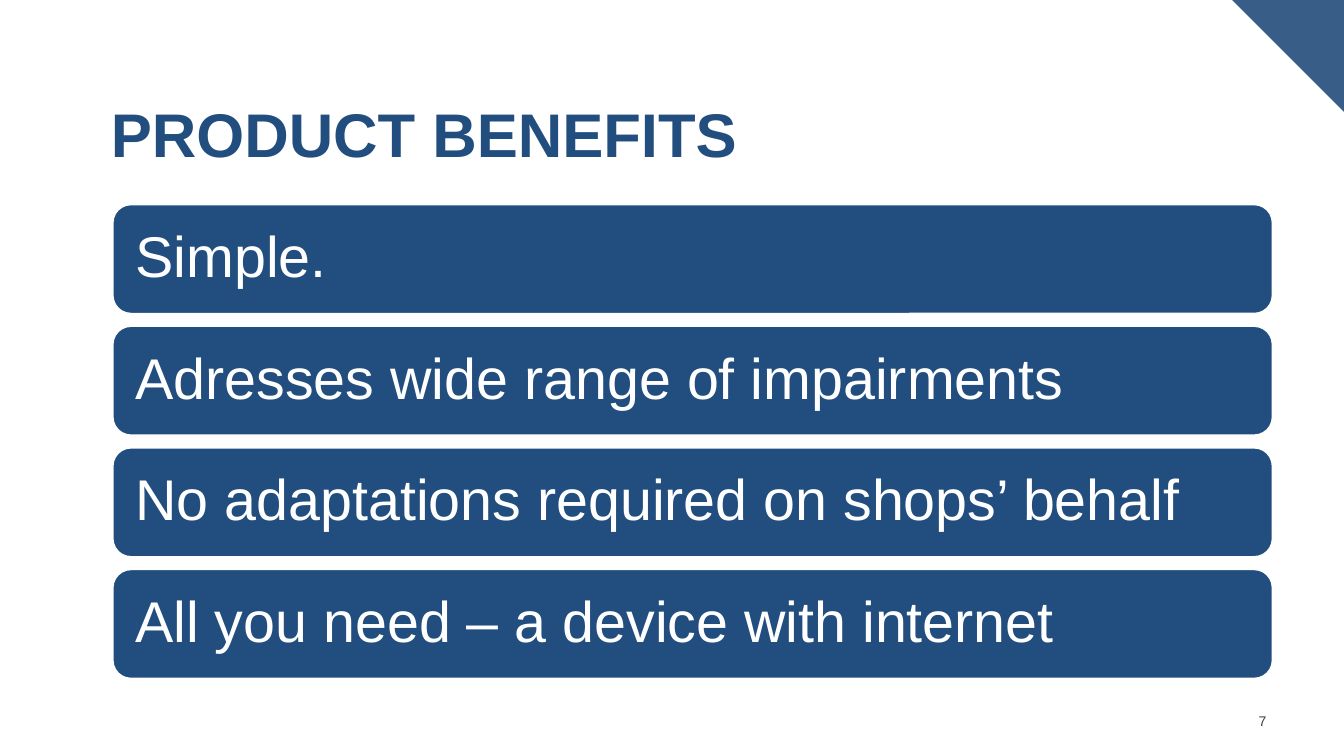
from pptx import Presentation
from pptx.dml.color import RGBColor
from pptx.enum import shapes as sh, text as tx
from pptx.util import Inches, Pt

COLORS = {"navy": "224E7F", "corner": "385E88", "white": "FFFFFF", "gray": "404040"}
BENEFITS = [
    "Simple.",
    "Adresses wide range of impairments",
    "No adaptations required on shops’ behalf",
    "All you need – a device with internet",
]
WIDTH, HEIGHT = 13.33, 7.5


def color(name):
    return RGBColor.from_string(COLORS[name])


def place(shape, left, top, width, height):
    shape.left, shape.top = Inches(left), Inches(top)
    shape.width, shape.height = Inches(width), Inches(height)


def write(shape, words, size, tint, align, anchor, bold=False, line=None):
    frame = shape.text_frame
    frame.text = words
    frame.word_wrap = True
    frame.auto_size = tx.MSO_AUTO_SIZE.NONE
    frame.vertical_anchor = anchor
    para = frame.paragraphs[0]
    para.alignment = align
    para.line_spacing = line
    font = para.runs[0].font
    font.name, font.size, font.bold = "Arial", Pt(size), bold
    font.color.rgb = color(tint)


def add_corner(slide, side):
    left = WIDTH - side
    form = slide.shapes.build_freeform(Inches(left), 0)
    form.add_line_segments([(Inches(WIDTH), 0), (Inches(WIDTH), Inches(side))])
    corner = form.convert_to_shape()
    corner.shadow.inherit = False
    corner.fill.solid()
    corner.fill.fore_color.rgb = color("corner")
    corner.line.fill.background()


def add_title(slide, words):
    title = slide.shapes.title
    place(title, 1, 0.98, 11.5, 1.45)
    write(title, words, 44, "navy", tx.PP_ALIGN.LEFT, tx.MSO_ANCHOR.TOP,
          bold=True, line=0.9)


def add_bar(slide, words, top):
    bar = slide.shapes.add_shape(
        sh.MSO_SHAPE.ROUNDED_RECTANGLE,
        Inches(1.12), Inches(top), Inches(11.5), Inches(1.08))
    bar.shadow.inherit = False
    bar.fill.solid()
    bar.fill.fore_color.rgb = color("navy")
    bar.line.color.rgb = color("white")
    bar.line.width = Pt(1)
    frame = bar.text_frame
    frame.margin_left = frame.margin_right = Inches(0.17)
    frame.margin_top = frame.margin_bottom = Inches(0.17)
    write(bar, words, 41, "white", tx.PP_ALIGN.LEFT, tx.MSO_ANCHOR.MIDDLE, line=0.9)


def add_number(slide, words):
    box = slide.shapes.add_textbox(
        Inches(12.16), Inches(6.95), Inches(0.5), Inches(0.4))
    write(box, words, 10, "gray", tx.PP_ALIGN.RIGHT, tx.MSO_ANCHOR.MIDDLE)


def main():
    deck = Presentation()
    deck.slide_width, deck.slide_height = Inches(WIDTH), Inches(HEIGHT)
    slide = deck.slides.add_slide(deck.slide_layouts[5])

    # Corner and title
    add_corner(slide, 1.11)
    add_title(slide, "PRODUCT BENEFITS")

    # Benefit bars at an equal pitch
    first, last = 2.03, 5.65
    pitch = (last - first) / (len(BENEFITS) - 1)
    for i, words in enumerate(BENEFITS):
        add_bar(slide, words, first + i * pitch)

    # Page number
    add_number(slide, "7")
    deck.save("out.pptx")


if __name__ == "__main__":
    main()
